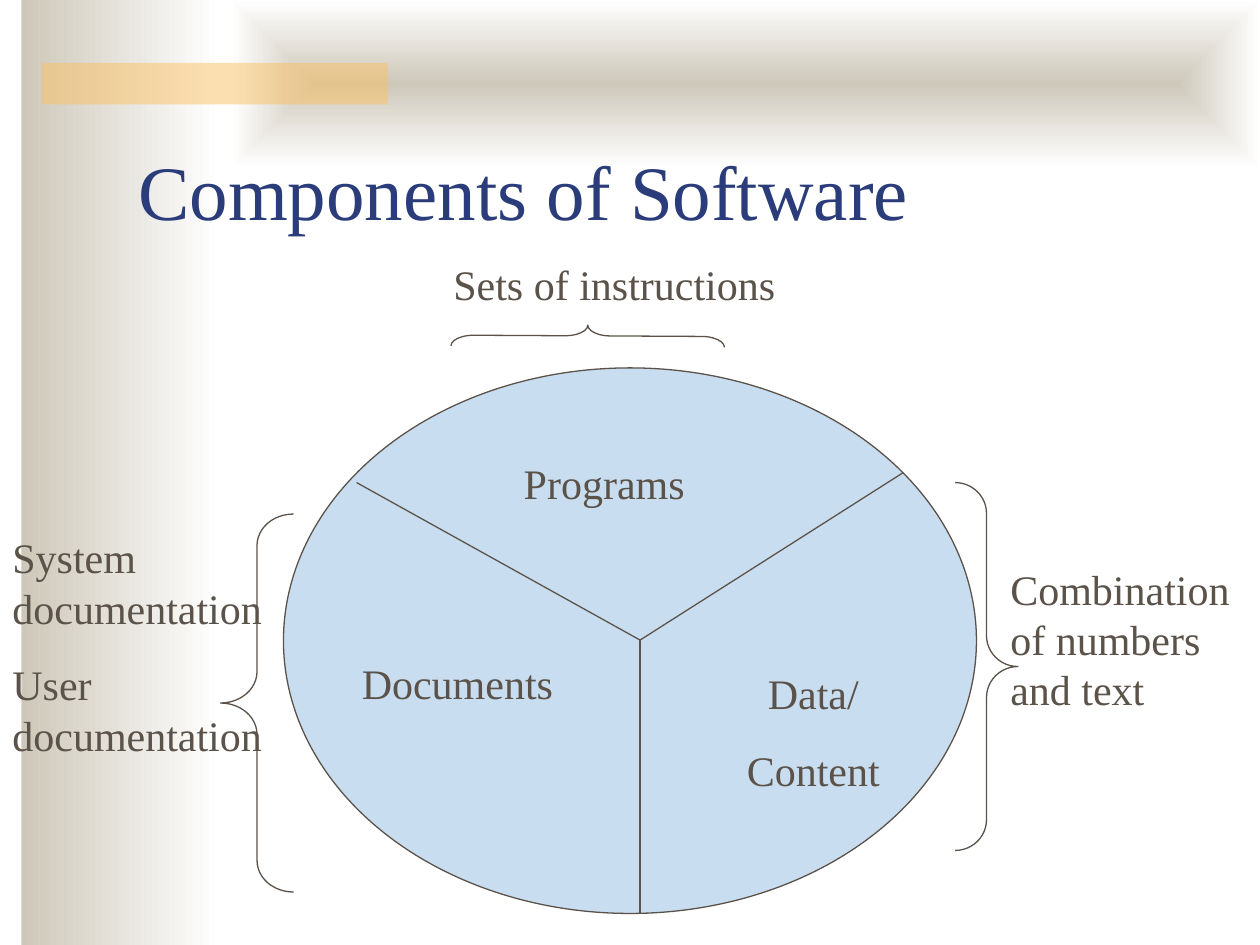
from lxml.etree import SubElement
from pptx import Presentation
from pptx.dml.color import RGBColor
from pptx.enum.shapes import MSO_CONNECTOR, MSO_SHAPE as SHAPE
from pptx.enum.text import MSO_ANCHOR as ANCHOR, PP_ALIGN as ALIGN
from pptx.oxml.ns import qn
from pptx.util import Inches, Pt

FONT = "Times New Roman"
SAND = RGBColor(0xCE, 0xC8, 0xBA)
WHITE = RGBColor(0xFF, 0xFF, 0xFF)
ORANGE = RGBColor(0xFA, 0xC1, 0x64)
NAVY = RGBColor(0x2A, 0x3D, 0x7A)
BROWN = RGBColor(0x5B, 0x52, 0x49)
SKY = RGBColor(0xC9, 0xDD, 0xF1)

TITLE = "Components of Software"
SIDE_BAND = (0.17, 0, 1.58, 7.5)
TOP_BAND = (1.83, 0, 8.17, 1.33)
ACCENT = (0.33, 0.5, 2.75, 0.33)
PIE = (2.25, 2.92, 5.5, 4.33)
HUB = (5.08, 5.08)
SPOKE_ENDS = [(2.83, 3.83), (5.08, 7.25), (7.17, 3.75)]
# paragraphs, area, alignment
LABELS = [
    (["Programs"], (3.92, 3.58, 1.75, 0.5), ALIGN.CENTER),
    (["Documents"], (2.42, 5.17, 2.42, 0.5), ALIGN.CENTER),
    (["Data/", "Content"], (5.58, 5.25, 1.75, 1.11), ALIGN.CENTER),
    (["Sets of instructions"], (3.5, 2, 3.42, 0.5), ALIGN.LEFT),
    (["Combination of numbers and text"], (7.92, 4.42, 2.08, 1.3), ALIGN.LEFT),
    (["System documentation", "User documentation"], (0, 4.17, 2.25, 1.91), ALIGN.LEFT),
]
# shape, area, curl size, rotation
BRACES = [
    (SHAPE.RIGHT_BRACE, (4.58, 1.58, 0.17, 2.17), 1.06, 270.3),
    (SHAPE.RIGHT_BRACE, (7.58, 3.83, 0.5, 2.92), 0.49, 0),
    (SHAPE.LEFT_BRACE, (1.75, 4.08, 0.58, 3), 0.43, 0),
]


def inches(values):
    return [Inches(value) for value in values]


def add_plain(page, kind, area):
    """Add a shape with neither shadow, fill nor line."""
    shape = page.shapes.add_shape(kind, *inches(area))
    shape.shadow.inherit = False
    shape.fill.background()
    shape.line.fill.background()
    return shape


def outline(shape):
    shape.line.color.rgb = BROWN
    shape.line.width = Pt(0.75)


def add_band(page, area, from_centre=False):
    """Add a rectangle fading from sand to white."""
    band = add_plain(page, SHAPE.RECTANGLE, area)
    band.fill.gradient()
    band.fill.gradient_angle = 0
    for stop, color in zip(band.fill.gradient_stops, (SAND, WHITE)):
        stop.color.rgb = color
    if from_centre:
        gradient = band._element.spPr.find(qn("a:gradFill"))
        gradient.remove(gradient.find(qn("a:lin")))
        route = SubElement(gradient, qn("a:path"), {"path": "rect"})
        SubElement(route, qn("a:fillToRect"), {side: "50000" for side in "ltrb"})


def add_accent(page):
    accent = add_plain(page, SHAPE.RECTANGLE, ACCENT)
    accent.fill.solid()
    accent.fill.fore_color.rgb = ORANGE
    color = accent._element.spPr.find(qn("a:solidFill"))[0]
    SubElement(color, qn("a:alpha"), {"val": "50000"})


def add_text(page, lines, area, size, color, align=ALIGN.LEFT, anchor=ANCHOR.TOP, before=0):
    box = page.shapes.add_textbox(*inches(area))
    frame = box.text_frame
    frame.word_wrap = True
    frame.vertical_anchor = anchor
    frame.text = "\n".join(lines)
    for para in frame.paragraphs:
        para.alignment = align
        para.space_before = Pt(before)
        para.font.name = FONT
        para.font.size = Pt(size)
        para.font.color.rgb = color


def add_spoke(page, end):
    spoke = page.shapes.add_connector(MSO_CONNECTOR.STRAIGHT, *inches(HUB + end))
    outline(spoke)
    SubElement(spoke._element.spPr, qn("a:effectLst"))


def main():
    deck = Presentation()
    deck.slide_width, deck.slide_height = Inches(10), Inches(7.5)
    page = deck.slides.add_slide(deck.slide_layouts[6])

    add_band(page, SIDE_BAND)
    add_band(page, TOP_BAND, from_centre=True)
    add_accent(page)
    add_text(page, [TITLE], (1, 0.67, 8.5, 1.25), 44, NAVY, anchor=ANCHOR.BOTTOM)

    pie = add_plain(page, SHAPE.OVAL, PIE)
    pie.fill.solid()
    pie.fill.fore_color.rgb = SKY
    outline(pie)
    for end in SPOKE_ENDS:
        add_spoke(page, end)

    for kind, area, curl, rotation in BRACES:
        brace = add_plain(page, kind, area)
        brace.adjustments[0] = curl
        brace.rotation = rotation
        outline(brace)
    for lines, area, align in LABELS:
        add_text(page, lines, area, 24, BROWN, align, before=15)

    deck.save("out.pptx")


if __name__ == "__main__":
    main()
